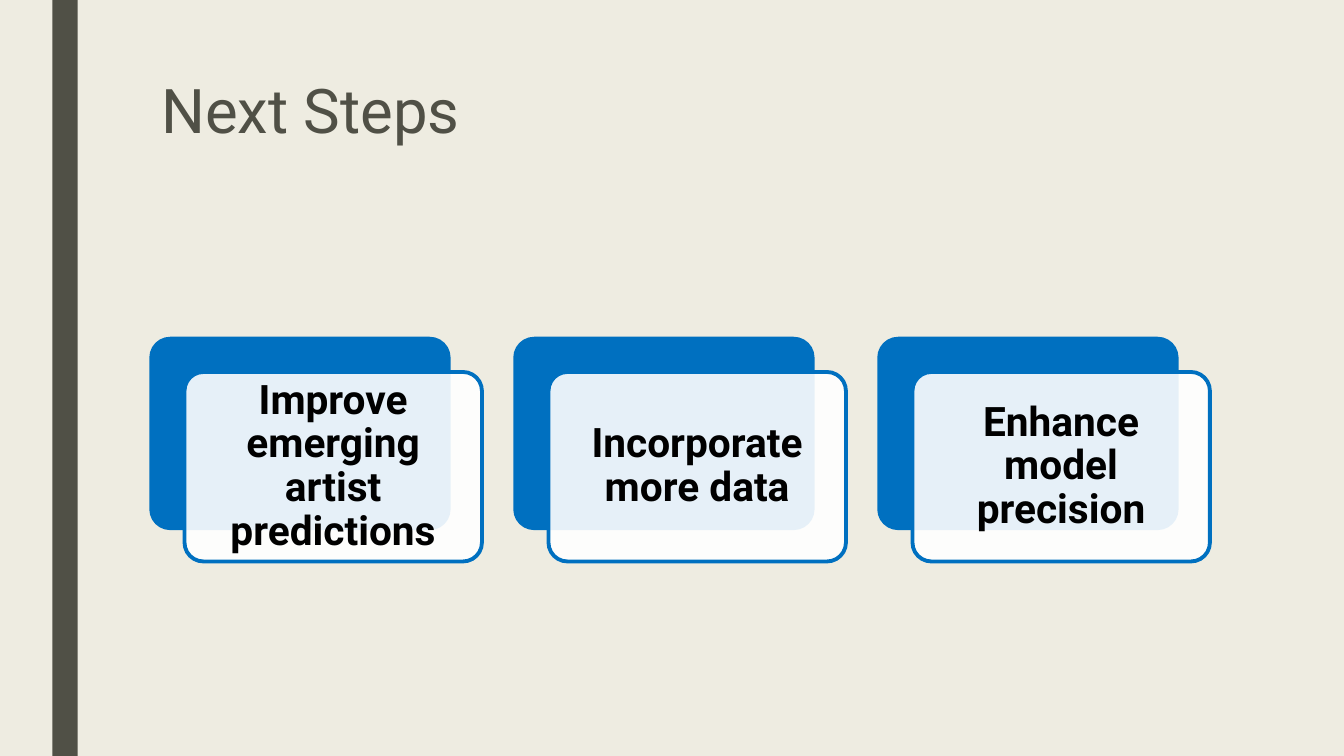
import pptx
import pptx.dml.color
import pptx.enum.shapes
import pptx.enum.text
import pptx.oxml
import pptx.oxml.ns
import pptx.util
from pptx.util import Inches

BLUE, GRAY, CREAM = "0070C0", "505046", "EEECE1"


def color(value):
    """Turn a hex string into a colour."""
    return pptx.dml.color.RGBColor.from_string(value)


class StepsSlide:
    """Holds the style and the current slide."""

    font_name = "Roboto"
    outline_width = pptx.util.Pt(2.75)

    def __init__(self, deck):
        """Add a blank slide with the cream background."""
        self.slide = deck.slides.add_slide(deck.slide_layouts[6])
        self.slide.background.fill.solid()
        self.slide.background.fill.fore_color.rgb = color(CREAM)

    def block(self, kind, box, fill, outline=None, opacity=100):
        """Draw a filled preset shape."""
        shape = self.slide.shapes.add_shape(kind, *map(Inches, box))
        shape.shadow.inherit = False
        shape.fill.solid()
        shape.fill.fore_color.rgb = color(fill)
        if opacity < 100:
            tint = shape.fill._xPr.find(".//" + pptx.oxml.ns.qn("a:srgbClr"))
            tint.append(pptx.oxml.parse_xml(
                f'<a:alpha {pptx.oxml.ns.nsdecls("a")} val="{opacity * 1000}"/>'))
        if outline:
            shape.line.color.rgb = color(outline)
            shape.line.width = self.outline_width
        else:
            shape.line.fill.background()
        return shape

    def card(self, box, fill, opacity=100):
        """Draw a rounded card with a blue outline."""
        rounded = pptx.enum.shapes.MSO_SHAPE.ROUNDED_RECTANGLE
        self.block(rounded, box, fill, BLUE, opacity).adjustments[0] = 0.1

    def text(self, box, words, frame_format, paragraph_format, font_format, ink):
        """Place a wrapped paragraph."""
        frame = self.slide.shapes.add_textbox(*map(Inches, box)).text_frame
        paragraph = frame.paragraphs[0]
        paragraph.text = words
        formats = (
            (frame, {"word_wrap": True, **frame_format}),
            (paragraph, paragraph_format),
            (paragraph.font, {"name": self.font_name, **font_format}),
        )
        for target, values in formats:
            for attribute, value in values.items():
                setattr(target, attribute, value)
        paragraph.font.color.rgb = color(ink)

    def step(self, left, top, words):
        """Draw a pair of overlapping cards with their label."""
        width, height, shift, pad = 2.95, 1.88, 0.33, 0.05
        self.card((left, top, width, height), BLUE)
        left, top = left + shift, top + shift
        self.card((left, top, width, height), "FFFFFF", 90)
        margins = ("margin_left", "margin_top", "margin_right", "margin_bottom")
        self.text(
            (left + pad, top + pad, width - 2 * pad, height - 2 * pad), words,
            {"vertical_anchor": pptx.enum.text.MSO_ANCHOR.MIDDLE,
             **dict.fromkeys(margins, Inches(0.12))},
            {"alignment": pptx.enum.text.PP_ALIGN.CENTER, "line_spacing": 0.9},
            {"size": pptx.util.Pt(29), "bold": True}, "000000")


def main():
    """Build and save the slide."""
    deck = pptx.Presentation()
    deck.slide_width, deck.slide_height = Inches(13.33), Inches(7.5)
    page = StepsSlide(deck)
    page.block(pptx.enum.shapes.MSO_SHAPE.RECTANGLE, (0.52, 0, 0.25, 7.5), GRAY)
    page.text((1.5, 0.75, 10.5, 1.62), "Next Steps", {},
              {"line_spacing": 0.89}, {"size": pptx.util.Pt(44)}, GRAY)
    steps = ("Improve emerging artist predictions", "Incorporate more data",
             "Enhance model precision")
    for index, words in enumerate(steps):
        page.step(1.5 + 3.61 * index, 3.36, words)
    deck.save("out.pptx")


if __name__ == "__main__":
    main()
